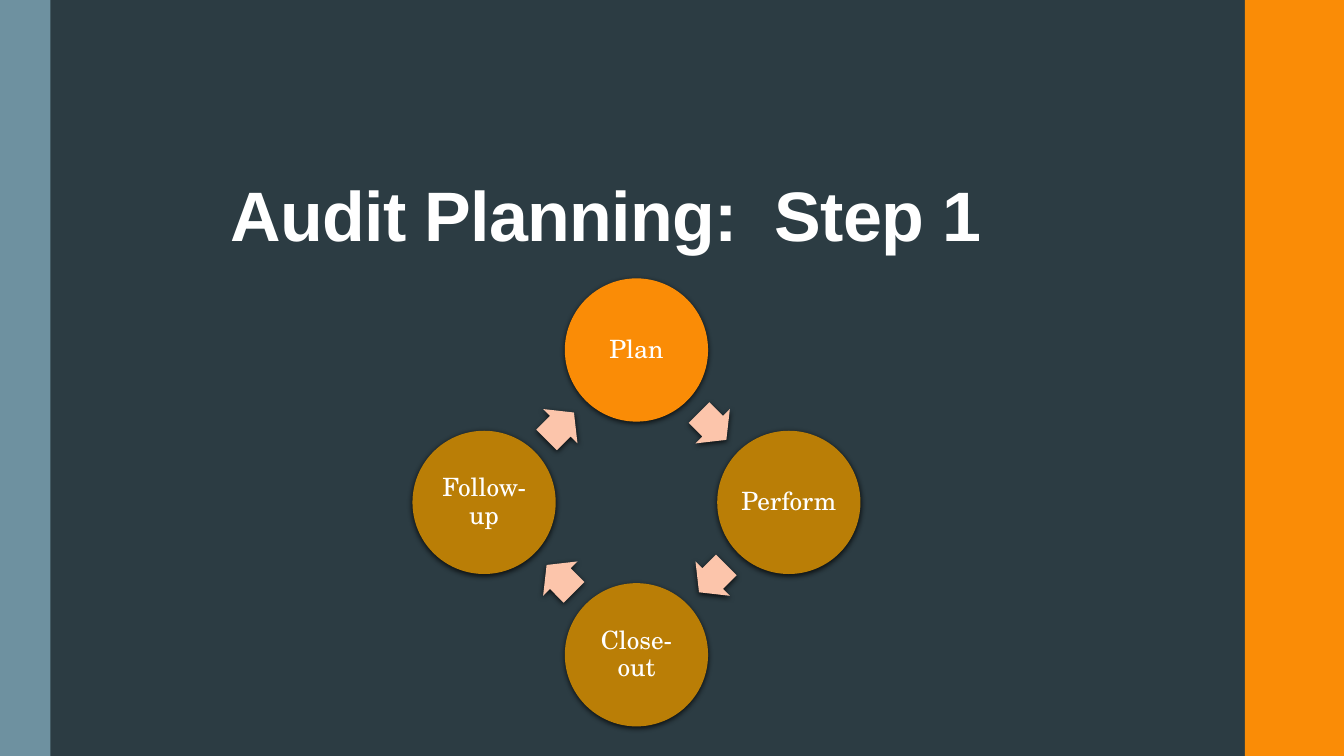
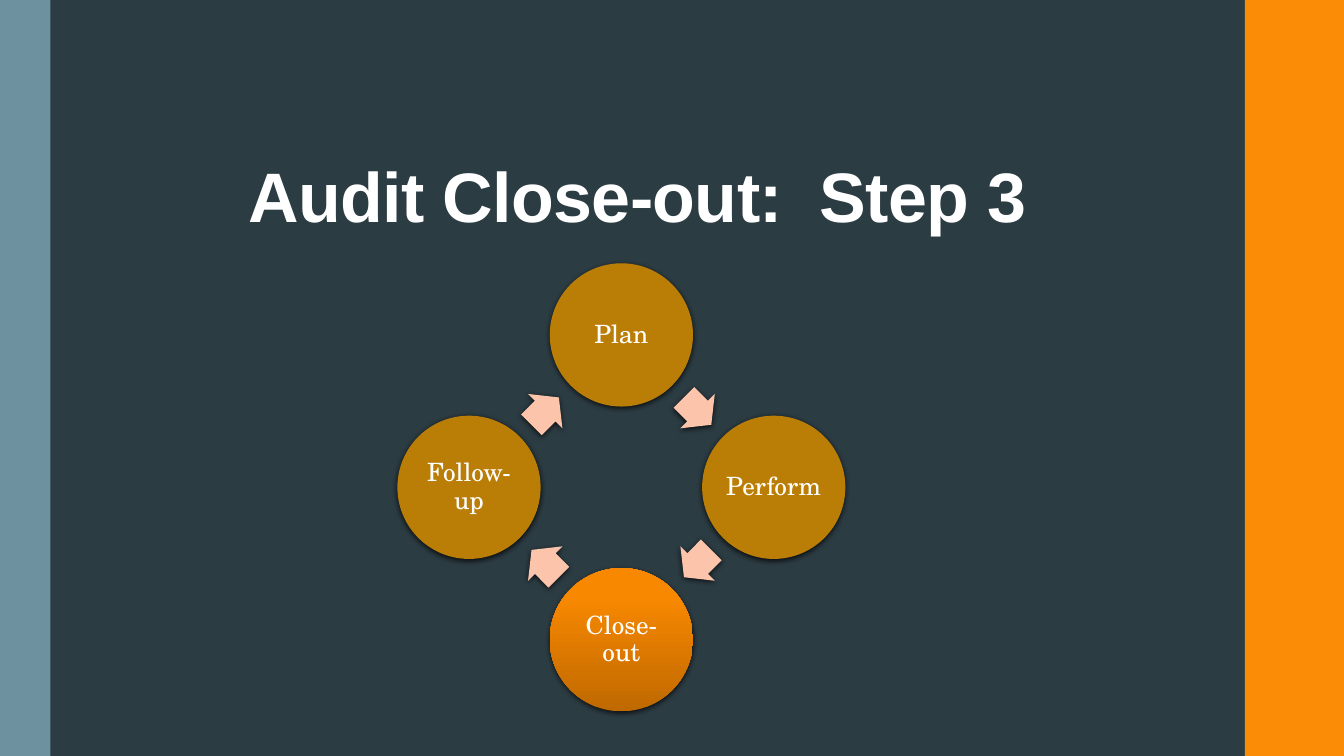
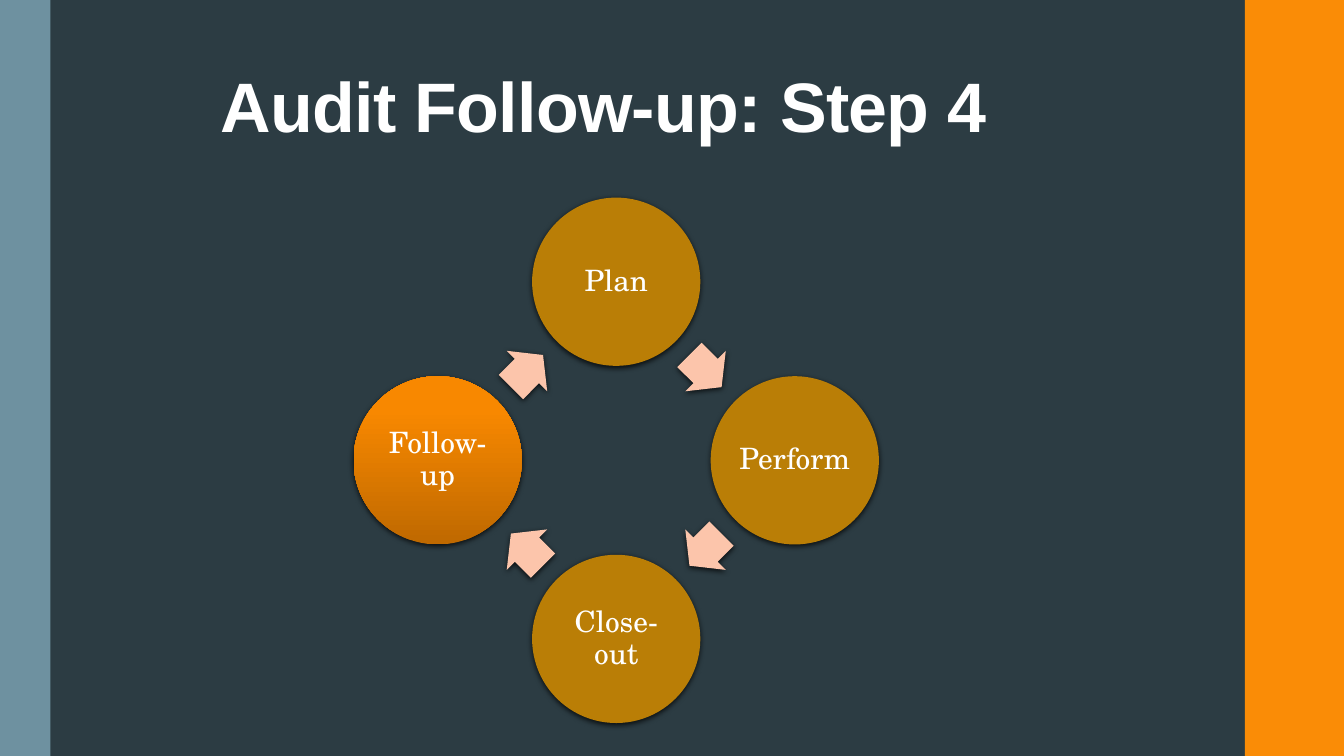
import math

import lxml.etree
import pptx
import pptx.dml.color
import pptx.enum.shapes
import pptx.enum.text
import pptx.oxml.ns
import pptx.util

Cm = pptx.util.Cm
Pt = pptx.util.Pt
RGBColor = pptx.dml.color.RGBColor
Shape = pptx.enum.shapes.MSO_SHAPE
qn = pptx.oxml.ns.qn

SLATE = RGBColor(0x2C, 0x3C, 0x43)
ORANGE = RGBColor(0xFA, 0x8C, 0x06)
STEEL = RGBColor(0x6E, 0x91, 0xA0)
OCHRE = RGBColor(0xBA, 0x7E, 0x06)
PEACH = RGBColor(0xFC, 0xC5, 0xAB)
BURNT = RGBColor(0xBF, 0x69, 0x00)
AMBER = RGBColor(0xF8, 0x88, 0x00)
BLACK = RGBColor(0x00, 0x00, 0x00)
WHITE = RGBColor(0xFF, 0xFF, 0xFF)

WIDTH, HEIGHT = 33.87, 19.05
STEPS = ["Plan", "Perform", "Close-out", "Follow-up"]

# title, title left and top, cycle centre, ring radius, circle diameter,
# label size, current step and whether that step is shaded
SLIDES = [
    ("Audit Planning:  Step 1", (5.56, 3.4), (16.04, 12.66), 3.84, 3.61, 18, "Plan", False),
    ("Audit Close-out:  Step 3", (6.02, 2.92), (15.66, 12.28), 3.84, 3.61, 18, "Close-out", True),
    ("Audit Follow-up: Step 4", (5.3, 0.66), (15.53, 11.6), 4.5, 4.24, 21, "Follow-up", True),
]


def add_centred(shapes, kind, x, y, width, height, colour):
    """Add a filled shape with a soft shadow, centred on x, y (cm)."""
    shape = shapes.add_shape(kind, Cm(x - width / 2), Cm(y - height / 2), Cm(width), Cm(height))
    shape.fill.solid()
    shape.fill.fore_color.rgb = colour
    shape.line.fill.background()
    shape.shadow.inherit = False
    effects = shape.element.spPr.find(qn("a:effectLst"))
    shadow = lxml.etree.SubElement(
        effects, qn("a:outerShdw"), blurRad=str(Pt(4)), dist=str(Pt(1.2)),
        dir="5400000", algn="ctr", rotWithShape="0")
    shade = lxml.etree.SubElement(shadow, qn("a:srgbClr"), val=str(BLACK))
    lxml.etree.SubElement(shade, qn("a:alpha"), val="75000")
    return shape


def format_text(frame, font_name, size, alignment, anchor, spacing):
    frame.word_wrap = True
    frame.auto_size = pptx.enum.text.MSO_AUTO_SIZE.NONE
    frame.vertical_anchor = anchor
    para = frame.paragraphs[0]
    para.alignment = alignment
    para.line_spacing = spacing
    span = para.runs[0]
    span.font.name = font_name
    span.font.size = Pt(size)
    span.font.color.rgb = WHITE
    return span


deck = pptx.Presentation()
deck.slide_width, deck.slide_height = Cm(WIDTH), Cm(HEIGHT)
master = deck.slide_master
master.background.fill.solid()
master.background.fill.fore_color.rgb = SLATE
pages = [deck.slides.add_slide(deck.slide_layouts[0]) for entry in SLIDES]

# The side bands are drawn on a page, then moved to the master behind its placeholders.
for number, (left, width, colour) in enumerate([(31.37, 2.5, ORANGE), (0, 1.27, STEEL)]):
    band = pages[0].shapes.add_shape(Shape.RECTANGLE, Cm(left), 0, Cm(width), Cm(HEIGHT))
    band.fill.solid()
    band.fill.fore_color.rgb = colour
    band.line.fill.background()
    band.shadow.inherit = False
    band.element.nvSpPr.cNvPr.id = 20 + number
    master.shapes.element.insert(2 + number, band.element)

for page, entry in zip(pages, SLIDES):
    heading, corner, centre, radius, diameter, size, current, shaded = entry

    subtitle = page.placeholders[1].element
    subtitle.getparent().remove(subtitle)
    title = page.shapes.title
    title.left, title.top = Cm(corner[0]), Cm(corner[1])
    title.width, title.height = Cm(21.59), Cm(3.18)
    frame = title.text_frame
    frame.text = heading
    frame.margin_left = frame.margin_right = Cm(0.25)
    frame.margin_top, frame.margin_bottom = Cm(0.08), Cm(0.13)
    span = format_text(frame, "Arial", 50, pptx.enum.text.PP_ALIGN.LEFT,
                       pptx.enum.text.MSO_ANCHOR.BOTTOM, 0.85)
    span.font.bold = True
    span.font._element.set("spc", "-50")

    cycle = page.shapes.add_group_shape()
    for index, step in enumerate(STEPS):
        angle = math.radians(90 * index)
        circle = add_centred(cycle.shapes, Shape.OVAL,
                             centre[0] + radius * math.sin(angle),
                             centre[1] - radius * math.cos(angle),
                             diameter, diameter, ORANGE if step == current else OCHRE)
        if step == current and shaded:
            circle.fill.gradient()
            circle.fill.gradient_angle = 90
            for stop, position, colour in zip(circle.fill.gradient_stops, (0, 0.8), (BURNT, AMBER)):
                stop.position = position
                stop.color.rgb = colour
        frame = circle.text_frame
        frame.text = step
        # The longest unbroken label needs the full width inside the circle.
        frame.margin_left = frame.margin_right = 0
        frame.margin_top = frame.margin_bottom = Cm(0.08)
        format_text(frame, "TeX Gyre Schola", size, pptx.enum.text.PP_ALIGN.CENTER,
                    pptx.enum.text.MSO_ANCHOR.MIDDLE, 0.9)

        # Each arrow sits halfway between two neighbouring circles.
        halfway = angle + math.pi / 4
        reach = radius / math.sqrt(2)
        arrow = add_centred(cycle.shapes, Shape.RIGHT_ARROW,
                            centre[0] + reach * math.sin(halfway),
                            centre[1] - reach * math.cos(halfway),
                            0.27 * diameter, 0.34 * diameter, PEACH)
        arrow.adjustments[0], arrow.adjustments[1] = 0.6, 0.5
        arrow.rotation = 45 + 90 * index

deck.save("out.pptx")
